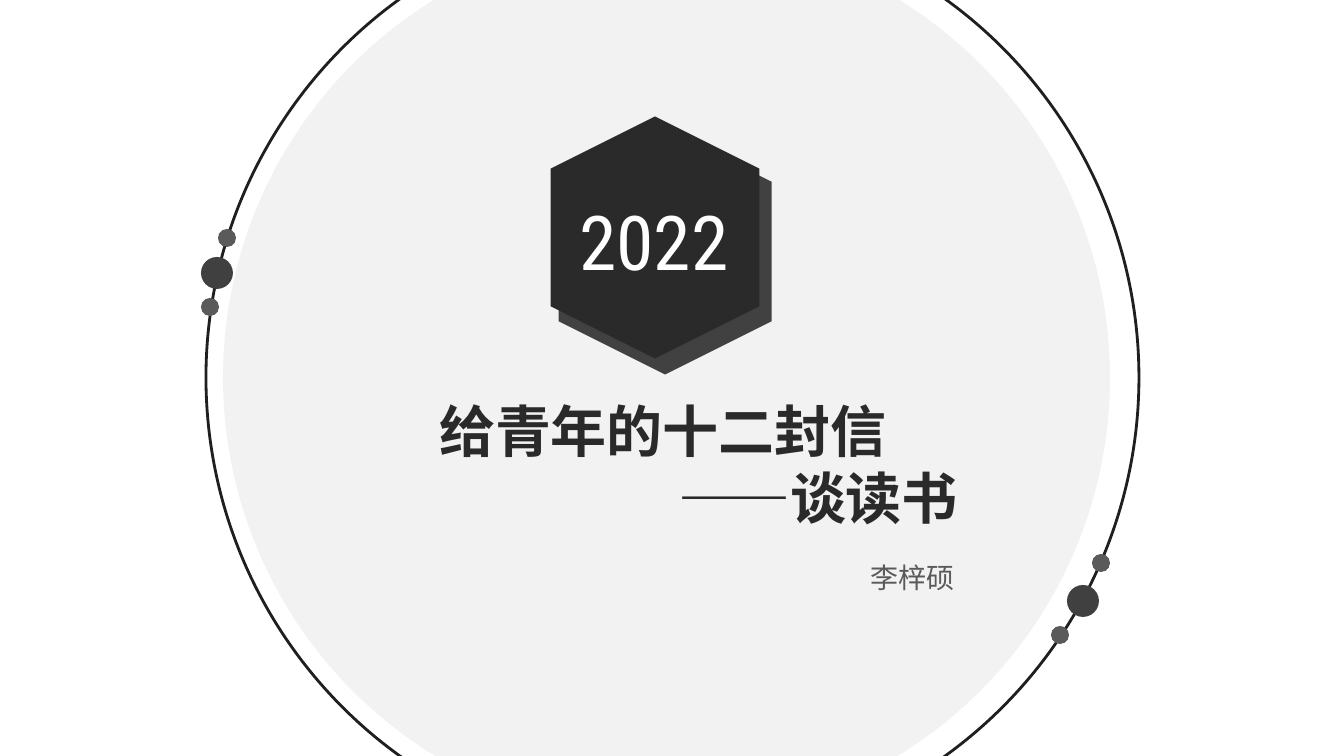
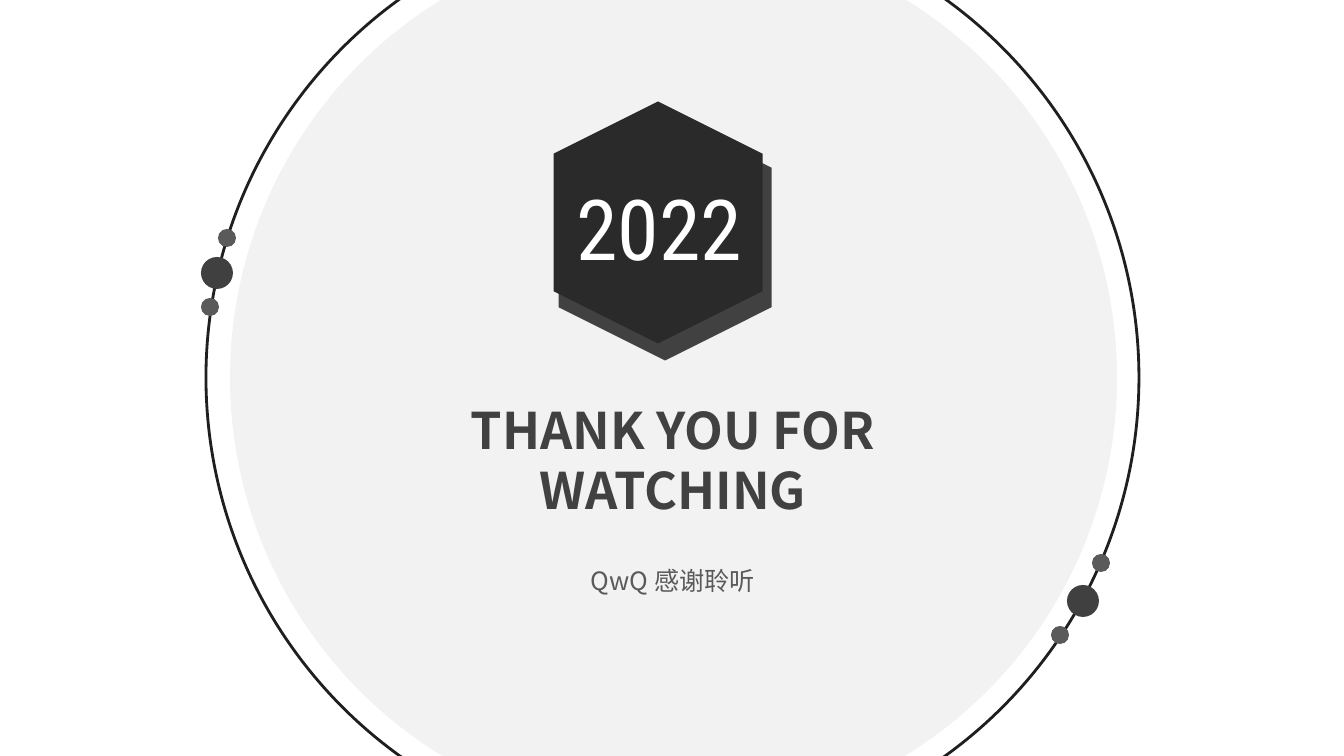
"""Build the opening and closing slides of a talk on reading."""
from dataclasses import dataclass

from lxml.etree import SubElement
from pptx import Presentation
from pptx.dml.color import RGBColor as Rgb
from pptx.enum.shapes import MSO_SHAPE as Kind
from pptx.enum.text import MSO_ANCHOR as Anchor, MSO_AUTO_SIZE as Fit, PP_ALIGN as Align
from pptx.oxml.ns import qn
from pptx.shapes.autoshape import Shape
from pptx.slide import Slide
from pptx.util import Emu, Pt

SCALE = 914400 / 100.8
HUES = {
    "disc": "F2F2F2",
    "ring": "1F1F1F",
    "dot": "5A5A5A",
    "bead": "404040",
    "back": "414141",
    "ink": "2A2A2A",
    "white": "FFFFFF",
}
SANS = "Noto Sans CJK SC"
SLIM = "Roboto Condensed"
LEAD = 1.2


@dataclass(frozen=True)
class Box:
    """A frame in px."""
    x: int
    y: int
    w: int
    h: int


@dataclass(frozen=True)
class Line:
    """One paragraph and its alignment."""
    text: str
    align: Align = Align.CENTER


@dataclass(frozen=True)
class Block:
    """Text lines in one frame and one style."""
    box: Box
    lines: tuple[Line, ...]
    size: int
    hue: str
    bold: bool = False
    face: str = SANS


@dataclass(frozen=True)
class Page:
    """What differs from slide to slide."""
    disc: int
    back: tuple[int, int]
    front: tuple[int, int]
    year: Block
    title: Block
    note: Block


RING = Box(206, -89, 933, 933)
DOTS = ((218, 229), (201, 298), (1092, 554), (1051, 626))
BEADS = ((201, 257), (1067, 585))

PAGES = (
    Page(
        223, (542, 145), (534, 133),
        Block(Box(565, 190, 178, 102), (Line("2022"),), 54, "white", face=SLIM),
        Block(
            Box(429, 391, 539, 146),
            (Line("给青年的十二封信", Align.JUSTIFY), Line("——谈读书", Align.RIGHT)),
            40, "ink", True,
        ),
        Block(Box(702, 555, 421, 44), (Line("李梓硕"),), 20, "dot"),
    ),
    Page(
        230, (542, 131), (537, 118),
        Block(Box(561, 172, 197, 112), (Line("2022"),), 60, "white", face=SLIM),
        Block(Box(339, 394, 668, 132), (Line("THANK YOU FOR WATCHING"),), 36, "back", True),
        Block(Box(359, 560, 628, 40), (Line("QwQ 感谢聆听"),), 18, "dot"),
    ),
)


def px(size: int) -> Emu:
    """Turn px into EMU."""
    return Emu(round(size * SCALE))


def tint(hue: str) -> Rgb:
    """Look up a named colour."""
    return Rgb.from_string(HUES[hue])


def place(shape: Shape, box: Box) -> None:
    """Move and size a shape."""
    shape.left, shape.top = px(box.x), px(box.y)
    shape.width, shape.height = px(box.w), px(box.h)


def draw(slide: Slide, kind: Kind, box: Box, hue: str) -> Shape:
    """Add a plain filled shape."""
    shape = slide.shapes.add_shape(kind, px(box.x), px(box.y), px(box.w), px(box.h))
    shape.shadow.inherit = False
    shape.fill.solid()
    shape.fill.fore_color.rgb = tint(hue)
    shape.line.fill.background()
    return shape


def write(shape: Shape, block: Block, wrap: bool = True) -> None:
    """Place and fill a text frame in its style."""
    place(shape, block.box)
    frame = shape.text_frame
    frame.text = "\n".join(line.text for line in block.lines)
    frame.word_wrap = wrap
    frame.auto_size = Fit.NONE
    frame.vertical_anchor = Anchor.TOP
    for para, line in zip(frame.paragraphs, block.lines):
        para.alignment = line.align
        para.space_before = Pt(0)
        if block.face == SANS:
            para.line_spacing = Pt(block.size * LEAD)
        font = para.font
        font.size, font.bold, font.name = Pt(block.size), block.bold, block.face
        font.color.rgb = tint(block.hue)
    for props in shape.element.iter(qn("a:defRPr")):
        SubElement(props, qn("a:ea"), typeface=block.face)


def orbit(slide: Slide, left: int) -> None:
    """Draw the disc, its ring and the beads on the ring."""
    draw(slide, Kind.OVAL, Box(left, -66, 887, 887), "disc")
    ring = draw(slide, Kind.OVAL, RING, "white")
    ring.fill.background()
    ring.line.color.rgb = tint("ring")
    ring.line.width = Pt(2)
    for spots, size, hue in ((DOTS, 18, "dot"), (BEADS, 32, "bead")):
        for x, y in spots:
            draw(slide, Kind.OVAL, Box(x, y, size, size), hue)


def badge(slide: Slide, page: Page) -> None:
    """Draw the two upright hexagons and the year."""
    plates = ((Box(*page.back, 246, 213), "back"), (Box(*page.front, 242, 209), "ink"))
    for box, hue in plates:
        draw(slide, Kind.HEXAGON, box, hue).rotation = 90
    write(slide.shapes.add_textbox(0, 0, 0, 0), page.year, wrap=False)


def main() -> None:
    """Build and save the deck."""
    deck = Presentation()
    deck.slide_width, deck.slide_height = px(1344), px(756)
    for page in PAGES:
        slide = deck.slides.add_slide(deck.slide_layouts[0])
        orbit(slide, page.disc)
        badge(slide, page)
        for hold, block in zip(slide.placeholders, (page.title, page.note)):
            write(hold, block)
            slide.shapes.element.append(hold.element)
    deck.save("out.pptx")


if __name__ == "__main__":
    main()
